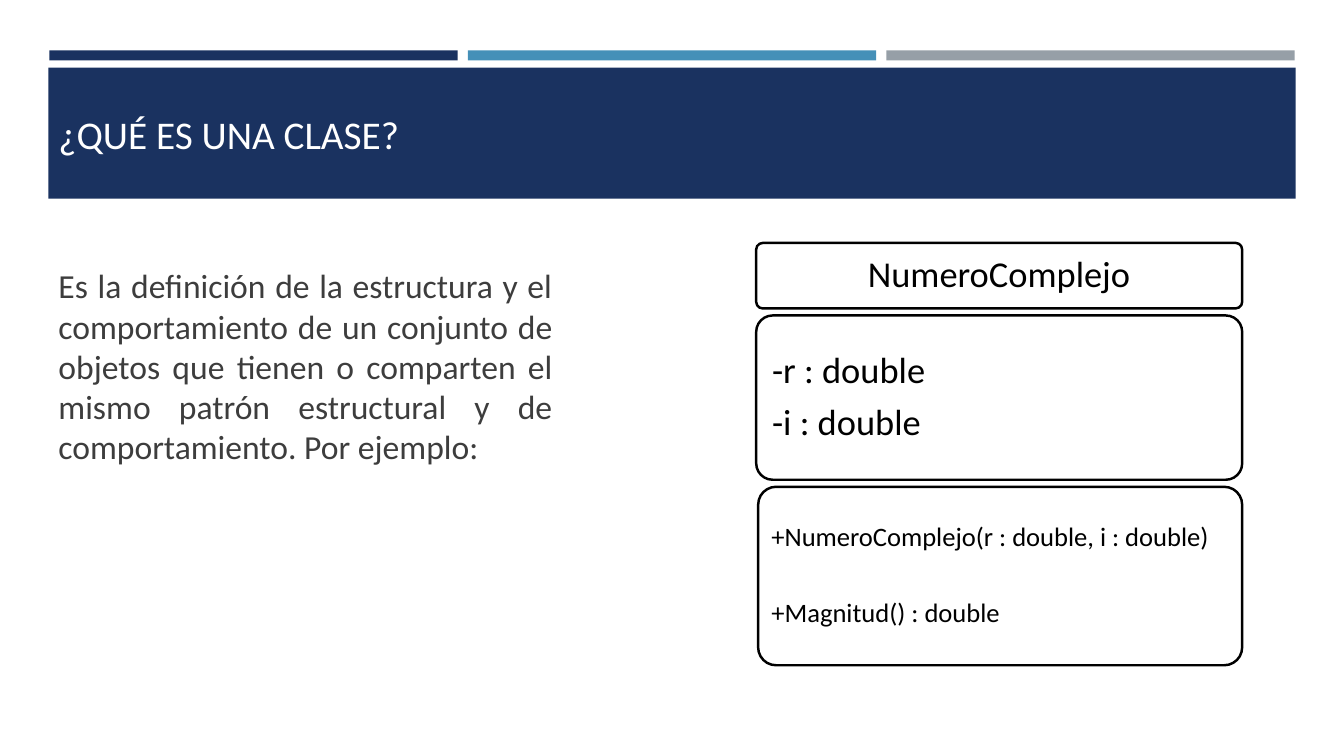
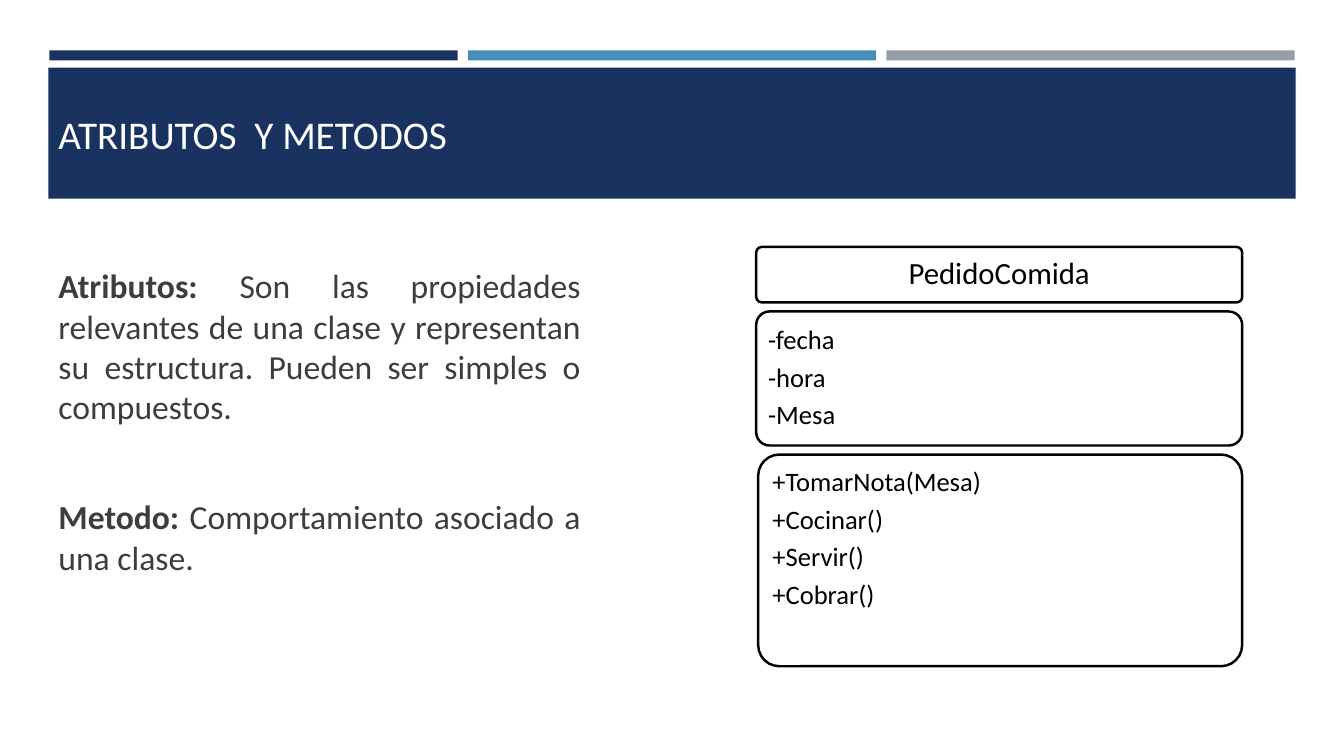
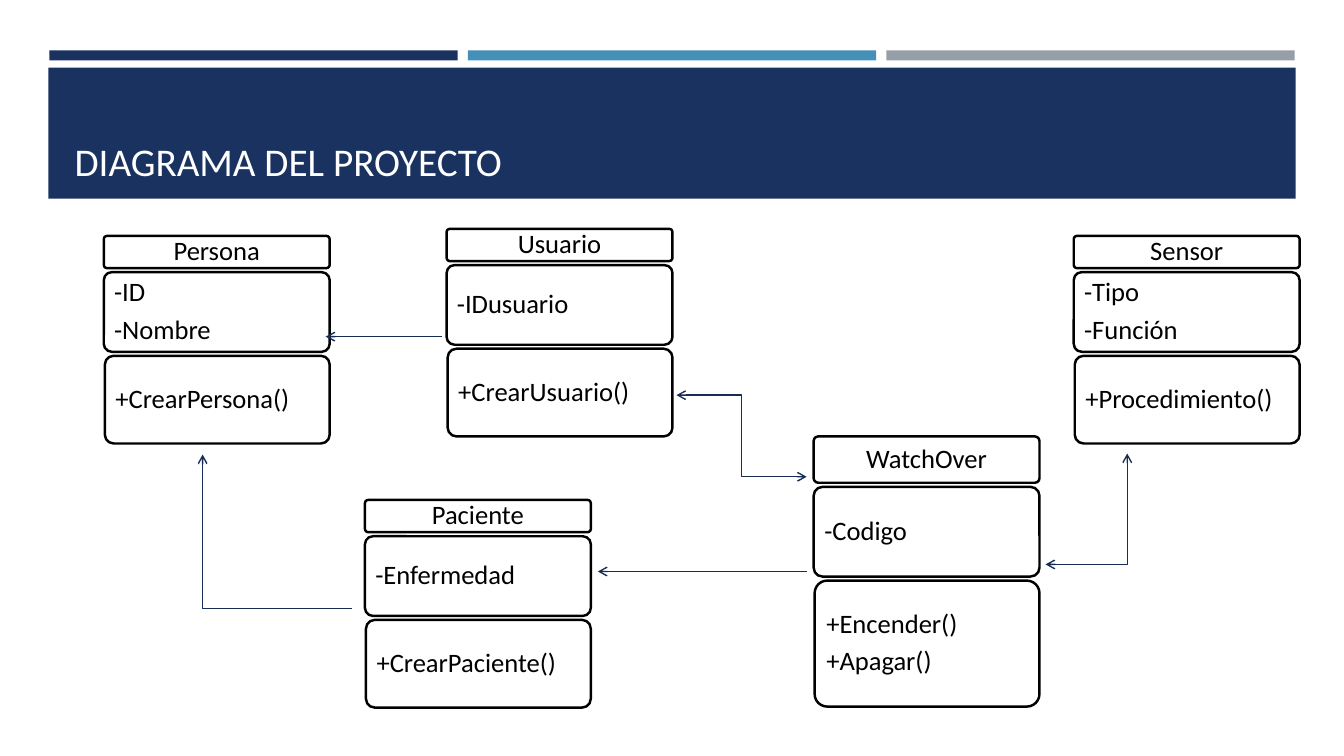
from dataclasses import dataclass
from typing import Any

from lxml.etree import SubElement
from pptx import Presentation
from pptx.dml.color import RGBColor
from pptx.enum.shapes import MSO_CONNECTOR as Connector, MSO_SHAPE as Shape
from pptx.enum.text import MSO_ANCHOR as Anchor, MSO_AUTO_SIZE as AutoSize, PP_ALIGN as Align
from pptx.oxml.ns import qn
from pptx.util import Emu, Pt

EMU_PER_PX = 9144  # 100 px to the inch
TITLE_AND_CONTENT, TITLE_ONLY = 1, 5


@dataclass(frozen=True)
class Theme:
    font: str = "Calibri"
    navy: str = "1A3260"
    blue: str = "4590B8"
    gray: str = "969FA7"
    arrow: str = "172D56"
    body: str = "3D3D3D"
    white: str = "FFFFFF"
    black: str = "000000"
    title_size: int = 28
    body_size: int = 24
    outline: float = 1.75
    arrow_width: float = 1


THEME = Theme()


@dataclass(frozen=True)
class Compartment:
    height: int
    lines: tuple[str, ...]
    size: int = 19
    anchor: Any = Anchor.MIDDLE
    space_after: float | None = None


@dataclass(frozen=True)
class UmlClass:
    left: int
    top: int
    width: int
    gap: int
    compartments: tuple[Compartment, ...]


@dataclass(frozen=True)
class Arrow:
    begin: tuple[int, int]
    end: tuple[int, int]
    bend: int | None = None  # thousandths of a percent along the width
    both_ends: bool = False


@dataclass(frozen=True)
class BodyParagraph:
    text: str
    term: str = ""


def px(*lengths: int) -> list[Emu]:
    return [Emu(length * EMU_PER_PX) for length in lengths]


def apply_format(target: Any, **values: Any) -> None:
    for name, value in values.items():
        setattr(target, name, value)


def add_run(paragraph: Any, text: str, size: int, color: str, bold: bool = False) -> None:
    run = paragraph.add_run()
    run.text = text
    apply_format(run.font, name=THEME.font, size=Pt(size), bold=bold)
    run.font.color.rgb = RGBColor.from_string(color)


def place(shape: Any, left: int, top: int, width: int, height: int) -> None:
    box = zip(("left", "top", "width", "height"), px(left, top, width, height))
    apply_format(shape, **dict(box))


def add_box(shapes: Any, kind: Any, box: tuple[int, ...], fill: str) -> Any:
    """Add a flat, filled shape without an outline."""
    shape = shapes.add_shape(kind, *px(*box))
    shape.shadow.inherit = False
    shape.fill.solid()
    shape.fill.fore_color.rgb = RGBColor.from_string(fill)
    shape.line.fill.background()
    return shape


def add_master_bands(presentation: Any, slide: Any) -> None:
    """Draw the bands on a slide and move them to the back of the master."""
    bands = [((49 + 415 * column, 50, 405, 10), color)
             for column, color in enumerate((THEME.navy, THEME.blue, THEME.gray))]
    bands.append(((48, 67, 1237, 130), THEME.navy))
    tree = presentation.slide_master.shapes.element
    for index, (box, color) in enumerate(bands):
        band = add_box(slide.shapes, Shape.RECTANGLE, box, color)
        band.element.nvSpPr.cNvPr.set("id", str(20 + index))
        tree.insert(2 + index, band.element)


def set_title(slide: Any, text: str, left: int = 48, width: int = 1236,
              anchor: Any = Anchor.MIDDLE) -> None:
    title = slide.shapes.title
    place(title, left, 77, width, 111)
    apply_format(title.text_frame, vertical_anchor=anchor, word_wrap=True,
                 auto_size=AutoSize.NONE)
    paragraph = title.text_frame.paragraphs[0]
    paragraph.alignment = Align.LEFT
    add_run(paragraph, text, THEME.title_size, THEME.white)


def set_body(slide: Any, width: int, paragraphs: tuple[BodyParagraph, ...]) -> None:
    body = slide.placeholders[1]
    place(body, 48, 258, width, 402)
    frame = body.text_frame
    apply_format(frame, word_wrap=True, auto_size=AutoSize.NONE)
    for index, content in enumerate(paragraphs):
        paragraph = frame.add_paragraph() if index else frame.paragraphs[0]
        properties = paragraph._p.get_or_add_pPr()
        properties.set("marL", "0")
        properties.set("indent", "0")
        SubElement(properties, qn("a:buNone"))
        apply_format(paragraph, alignment=Align.JUSTIFY, space_before=Pt(50 if index else 0))
        if content.term:
            add_run(paragraph, content.term, THEME.body_size, THEME.body, bold=True)
        add_run(paragraph, content.text, THEME.body_size, THEME.body)


def fill_compartment(shape: Any, part: Compartment, alignment: Any) -> None:
    frame = shape.text_frame
    margin, = px(round(part.size * 0.42))
    apply_format(frame, word_wrap=True, vertical_anchor=part.anchor, margin_left=margin,
                 margin_right=margin, margin_top=margin, margin_bottom=margin)
    after = part.space_after or round(part.size / 3, 1)
    for index, line in enumerate(part.lines):
        paragraph = frame.add_paragraph() if index else frame.paragraphs[0]
        apply_format(paragraph, alignment=alignment, line_spacing=0.9, space_after=Pt(after))
        add_run(paragraph, line, part.size, THEME.black)


def draw_class(slide: Any, uml: UmlClass) -> None:
    """Stack name, attributes and methods; the methods box is slightly narrower."""
    group = slide.shapes.add_group_shape()
    top = uml.top
    for index, part in enumerate(uml.compartments):
        inset = round(uml.width * 0.005) if index == 2 else 0
        box = (uml.left + inset, top, uml.width - inset, part.height)
        shape = add_box(group.shapes, Shape.ROUNDED_RECTANGLE, box, THEME.white)
        shape.adjustments[0] = 0.1
        shape.line.color.rgb = RGBColor.from_string(THEME.black)
        shape.line.width = Pt(THEME.outline)
        fill_compartment(shape, part, Align.LEFT if index else Align.CENTER)
        top += part.height + uml.gap


def draw_arrow(slide: Any, arrow: Arrow) -> None:
    kind = Connector.STRAIGHT if arrow.bend is None else Connector.ELBOW
    connector = slide.shapes.add_connector(kind, *px(*arrow.begin, *arrow.end))
    connector.line.color.rgb = RGBColor.from_string(THEME.arrow)
    connector.line.width = Pt(THEME.arrow_width)
    properties = connector.element.spPr
    if arrow.bend is not None:
        guides = properties.find(qn("a:prstGeom")).get_or_add_avLst()
        SubElement(guides, qn("a:gd"), name="adj1", fmla=f"val {arrow.bend}")
    line = properties.get_or_add_ln()
    for end in ("a:headEnd", "a:tailEnd") if arrow.both_ends else ("a:tailEnd",):
        SubElement(line, qn(end), type="arrow")
    SubElement(properties, qn("a:effectLst"))


def project_class(left: int, top: int, name: str, attributes: tuple[str, ...],
                  methods: tuple[str, ...],
                  heights: tuple[int, int, int] = (32, 79, 87)) -> UmlClass:
    parts = zip(heights, ((name,), attributes, methods))
    return UmlClass(left, top, 224, 4, tuple(Compartment(*part) for part in parts))


COMPLEX_NUMBER = UmlClass(750, 241, 482, 7, (
    Compartment(65, ("NumeroComplejo",), 26),
    Compartment(163, ("-r : double", "-i : double"), 26),
    Compartment(177, ("+NumeroComplejo(r : double, i : double)", "+Magnitud() : double"),
                space_after=33.5),
))
FOOD_ORDER = UmlClass(750, 245, 482, 9, (
    Compartment(55, ("PedidoComida",), 22),
    Compartment(133, ("-fecha", "-hora", "-Mesa")),
    Compartment(210, ("+TomarNota(Mesa)", "+Cocinar()", "+Servir()", "+Cobrar()"),
                anchor=Anchor.TOP),
))
PROJECT_CLASSES = (
    project_class(362, 496, "Paciente", ("-Enfermedad",), ("+CrearPaciente()",)),
    project_class(443, 227, "Usuario", ("-IDusuario",), ("+CrearUsuario()",)),
    project_class(103, 234, "Persona", ("-ID", "-Nombre"), ("+CrearPersona()",)),
    project_class(807, 433, "WatchOver", ("-Codigo",), ("+Encender()", "+Apagar()"),
                  (46, 89, 125)),
    project_class(1065, 234, "Sensor", ("-Tipo", "-Función"), ("+Procedimiento()",)),
)
PROJECT_ARROWS = (
    Arrow((438, 334), (323, 334)),
    Arrow((349, 604), (201, 451), bend=100000),
    Arrow((800, 567), (593, 567)),
    Arrow((671, 392), (800, 473), bend=50000, both_ends=True),
    Arrow((1037, 560), (1118, 450), bend=100000, both_ends=True),
)


def main() -> None:
    presentation = Presentation()
    presentation.slide_width, presentation.slide_height = px(1333, 750)
    layouts = presentation.slide_layouts

    slide = presentation.slides.add_slide(layouts[TITLE_AND_CONTENT])
    add_master_bands(presentation, slide)
    set_title(slide, "¿QUÉ ES UNA CLASE?")
    set_body(slide, 510, (BodyParagraph(
        "Es la definición de la estructura y el comportamiento de un conjunto de objetos que "
        "tienen o comparten el mismo patrón estructural y de comportamiento. Por ejemplo:"),))
    draw_class(slide, COMPLEX_NUMBER)

    slide = presentation.slides.add_slide(layouts[TITLE_AND_CONTENT])
    set_title(slide, "ATRIBUTOS  Y METODOS")
    set_body(slide, 538, (
        BodyParagraph("Son las propiedades relevantes de una clase y representan su "
                      "estructura. Pueden ser simples o compuestos.", "Atributos: "),
        BodyParagraph("Comportamiento asociado a una clase.", "Metodo: "),
    ))
    draw_class(slide, FOOD_ORDER)

    slide = presentation.slides.add_slide(layouts[TITLE_ONLY])
    set_title(slide, "DIAGRAMA DEL PROYECTO", 64, 1206, Anchor.BOTTOM)
    for uml in PROJECT_CLASSES:
        draw_class(slide, uml)
    for arrow in PROJECT_ARROWS:
        draw_arrow(slide, arrow)

    presentation.save("out.pptx")


if __name__ == "__main__":
    main()
